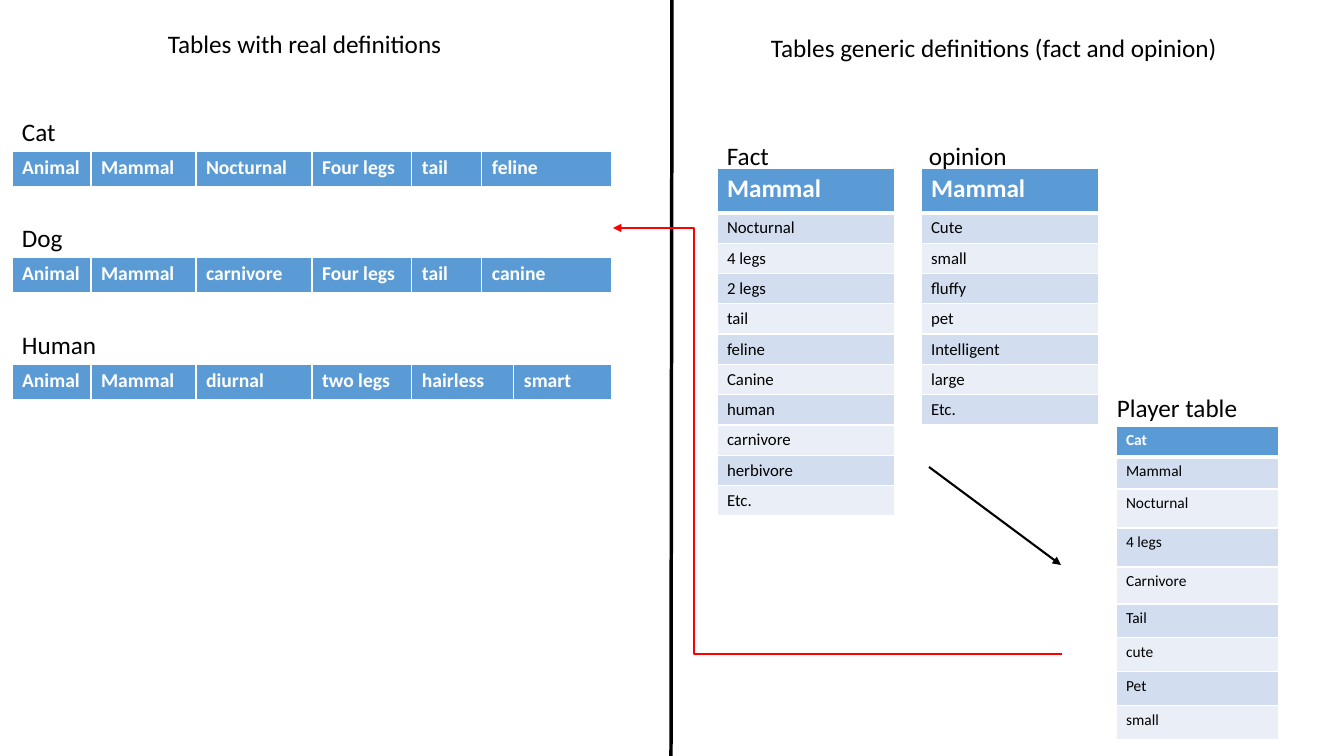
from lxml import etree
from pptx import Presentation
from pptx import util as u
from pptx.dml.color import RGBColor
from pptx.enum import shapes, text
from pptx.oxml.ns import qn

SCALE = 914400 / 100.8
FONT = "Calibri"
BLACK = RGBColor(0x00, 0x00, 0x00)
WHITE = RGBColor(0xFF, 0xFF, 0xFF)
RED = RGBColor(0xFF, 0x00, 0x00)
HEADER = RGBColor(0x5B, 0x9B, 0xD5)
BANDS = (RGBColor(0xD2, 0xDE, 0xEF), RGBColor(0xEA, 0xEF, 0xF7))

ANIMAL_WIDTHS = [79, 105, 116, 100, 70, 130]
HUMAN_WIDTHS = [79, 105, 116, 100, 102, 98]
ANIMALS = [
    ("Cat", ["Animal", "Mammal", "Nocturnal", "Four legs", "tail", "feline"],
     ANIMAL_WIDTHS),
    ("Dog", ["Animal", "Mammal", "carnivore", "Four legs", "tail", "canine"],
     ANIMAL_WIDTHS),
    ("Human", ["Animal", "Mammal", "diurnal", "two legs", "hairless", "smart"],
     HUMAN_WIDTHS),
]
FACTS = ["Mammal", "Nocturnal", "4 legs", "2 legs", "tail", "feline", "Canine",
         "human", "carnivore", "herbivore", "Etc."]
OPINIONS = ["Mammal", "Cute", "small", "fluffy", "pet", "Intelligent", "large",
            "Etc."]
PLAYER = ["Cat", "Mammal", "Nocturnal", "4 legs", "Carnivore", "Tail", "cute",
          "Pet", "small"]
PLAYER_HEIGHTS = [31, 32, 39, 39, 37, 34, 34, 34, 34]


def px(length):
    return u.Emu(round(length * SCALE))


def style(para, size, color, bold=False):
    para.font.name = FONT
    para.font.size = u.Pt(size)
    para.font.bold = bold
    para.font.color.rgb = color


def add_label(page, words, left, top, width):
    box = page.shapes.add_textbox(px(left), px(top), px(width), px(41))
    frame = box.text_frame
    frame.word_wrap = True
    frame.auto_size = text.MSO_AUTO_SIZE.SHAPE_TO_FIT_TEXT
    frame.text = words
    style(frame.paragraphs[0], 18, BLACK)


def add_border(cell, side, width):
    properties = cell._tc.get_or_add_tcPr()
    line = etree.SubElement(properties, qn("a:ln" + side), w=str(u.Pt(width)))
    fill = etree.SubElement(line, qn("a:solidFill"))
    etree.SubElement(fill, qn("a:srgbClr"), val=str(WHITE))


def add_grid(page, rows, left, top, widths, heights, header_size, body_size):
    frame = page.shapes.add_table(len(rows), len(widths), px(left), px(top),
                                  px(sum(widths)), px(sum(heights)))
    table = frame.table
    for column, width in zip(table.columns, widths):
        column.width = px(width)
    for row, height in zip(table.rows, heights):
        row.height = px(height)
    for i, values in enumerate(rows):
        header = i == 0
        for j, words in enumerate(values):
            cell = table.cell(i, j)
            cell.text = words
            style(cell.text_frame.paragraphs[0],
                  header_size if header else body_size,
                  WHITE if header else BLACK, header)
            # A thick rule separates the header from the body
            for side, width in (("L", 1), ("R", 1), ("T", 3 if i == 1 else 1),
                                ("B", 3 if header else 1)):
                add_border(cell, side, width)
            cell.fill.solid()
            cell.fill.fore_color.rgb = HEADER if header else BANDS[(i - 1) % 2]


def add_list(page, words, left, top, width, heights, header_size, body_size):
    add_grid(page, [[word] for word in words], left, top, [width], heights,
             header_size, body_size)


def add_line(page, start, end, color, width, arrow=False,
             kind=shapes.MSO_CONNECTOR.STRAIGHT):
    line = page.shapes.add_connector(kind, *map(px, start + end))
    line.line.color.rgb = color
    line.line.width = u.Pt(width)
    if arrow:
        etree.SubElement(line.line._get_or_add_ln(), qn("a:tailEnd"),
                         type="triangle")
    etree.SubElement(line._element.spPr, qn("a:effectLst"))
    return line


def add_elbow_arrow(page, top_left, bottom_right, bend, color, width):
    """Elbow turned by 180 degrees, so that its arrowhead is at the top left."""
    line = add_line(page, top_left, bottom_right, color, width, True,
                    shapes.MSO_CONNECTOR.ELBOW)
    properties = line._element.spPr
    properties.find(qn("a:xfrm")).set("rot", str(180 * 60000))
    guides = properties.find(qn("a:prstGeom")).find(qn("a:avLst"))
    etree.SubElement(guides, qn("a:gd"), name="adj1",
                     fmla=f"val {round(bend * 100000)}")


def main():
    deck = Presentation()
    deck.slide_width, deck.slide_height = px(1344), px(756)
    page = deck.slides.add_slide(deck.slide_layouts[6])

    # Divider and titles of both halves
    add_line(page, (672, 0), (671, 756), BLACK, 2.5)
    add_label(page, "Tables with real definitions", 158, 23, 327)
    add_label(page, "Tables generic definitions (fact and opinion)",
              761, 27, 492)

    # Left half: one row of attributes per animal
    for i, (name, traits, widths) in enumerate(ANIMALS):
        top = 151 + round(106.3 * i)
        add_grid(page, [traits], 12, top, widths, [37], 14, 14)
        add_label(page, name, 12, top - 40, 234)

    # Right half: lists of facts and opinions
    for name, words, left, label_left in (("Fact", FACTS, 717, 717),
                                          ("opinion", OPINIONS, 921, 919)):
        heights = [45] + [30] * (len(words) - 1)
        add_list(page, words, left, 168, 178, heights, 18, 12)
        add_label(page, name, label_left, 135, 150)

    # Player table
    add_list(page, PLAYER, 1116, 426, 163, PLAYER_HEIGHTS, 11, 11)
    add_label(page, "Player table", 1107, 387, 150)

    # Arrows to the player table and back to the definitions
    add_line(page, (929, 467), (1061, 565), BLACK, 1.5, True)
    add_elbow_arrow(page, (613, 228), (1062, 654), 0.82, RED, 1.75)

    deck.save("out.pptx")


main()
